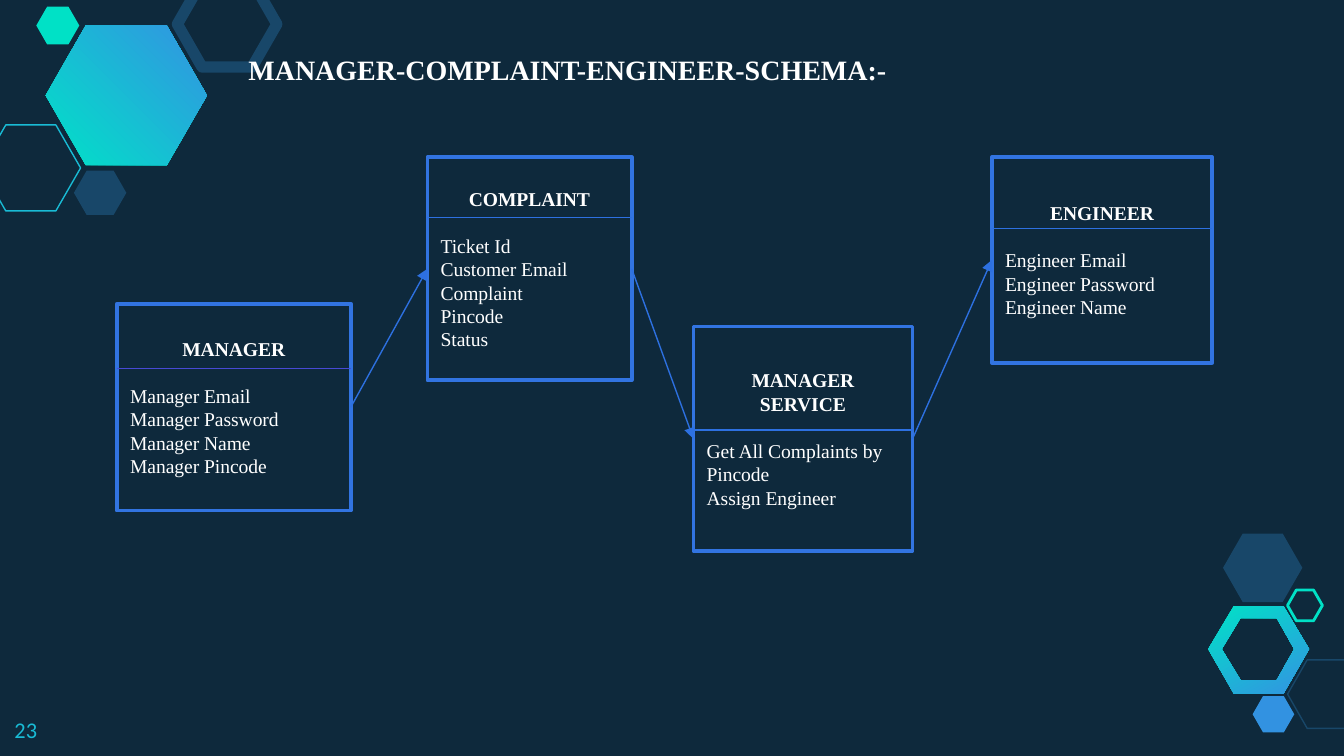
from lxml import etree
from pptx import Presentation
from pptx import util as u
from pptx.dml.color import RGBColor
from pptx.enum import shapes, text
from pptx.oxml.ns import qn

COLORS = {
    "night": "0E293C", "navy": "184769", "teal": "00E2C7", "mint": "00E1C6",
    "sky": "3393E2", "azure": "3292E1", "cyan": "19BBD5", "border": "3274E1",
    "arrow": "2D70E0", "violet": "4749D4", "white": "FFFFFF",
}
RGB = {name: RGBColor.from_string(value) for name, value in COLORS.items()}
SERIF = "Times New Roman"

# 16:9 slide
prs = Presentation()
prs.slide_width = u.Inches(10)
prs.slide_height = u.Inches(10 * 9 / 16)
slide = prs.slides.add_slide(prs.slide_layouts[6])
slide.background.fill.solid()
slide.background.fill.fore_color.rgb = RGB["night"]


def add_run(paragraph, words, size, color="white", font=SERIF, bold=False):
    run = paragraph.add_run()
    run.text = words
    run.font.size, run.font.name, run.font.bold = u.Pt(size), font, bold
    run.font.color.rgb = RGB[color]


def add_line(start, end, color, arrow=False):
    line = slide.shapes.add_connector(
        shapes.MSO_CONNECTOR.STRAIGHT, *[u.Inches(v) for v in start + end])
    line.line.color.rgb = RGB[color]
    line.line.width = u.Pt(0.75)
    if arrow:
        etree.SubElement(line.line._get_or_add_ln(), qn("a:tailEnd"), type="triangle")
    etree.SubElement(line._element.spPr, qn("a:effectLst"))
    return line


# Gradient ring, bottom right, in hundredths of an inch
outer = [(918, 516), (899, 483), (918, 451), (955, 451), (974, 483), (955, 516)]
inner = [(923, 506), (950, 506), (963, 483), (950, 460), (923, 460), (909, 483)]
builder = slide.shapes.build_freeform(*outer[0], scale=u.Inches(0.01))
builder.add_line_segments(outer[1:], close=True)
builder.move_to(*inner[0])
builder.add_line_segments(inner[1:], close=True)
ring = builder.convert_to_shape()

# Large gradient hexagon, top left
large_hexagon = slide.shapes.add_shape(
    shapes.MSO_SHAPE.HEXAGON, *[u.Inches(v) for v in (0.34, 0.19, 1.2, 1.04)])
large_hexagon.adjustments[0] = 0.287

for gradient_shape, angle in ((ring, 300), (large_hexagon, 45)):
    gradient_shape.shadow.inherit = False
    gradient_shape.line.fill.background()
    gradient_shape.fill.gradient()
    gradient_shape.fill.gradient_angle = angle
    for stop, color in zip(gradient_shape.fill.gradient_stops, ("teal", "sky")):
        stop.color.rgb = RGB[color]

# Plain hexagons: left, top, width, height, colour, outline points (0 = filled)
for left, top, width, height, color, outline in [
    (-0.14, 0.93, 0.74, 0.64, "cyan", 0.75),
    (0.55, 1.27, 0.39, 0.33, "navy", 0),
    (1.32, -0.14, 0.74, 0.64, "navy", 6),
    (0.27, 0.05, 0.32, 0.28, "mint", 0),
    (9.58, 4.91, 0.59, 0.51, "navy", 0.75),
    (9.32, 5.18, 0.31, 0.27, "azure", 0),
    (9.1, 3.97, 0.59, 0.51, "navy", 0),
    (9.58, 4.39, 0.26, 0.23, "mint", 1.5),
]:
    hexagon = slide.shapes.add_shape(
        shapes.MSO_SHAPE.HEXAGON, *[u.Inches(v) for v in (left, top, width, height)])
    hexagon.adjustments[0] = 0.287
    hexagon.shadow.inherit = False
    if outline:
        hexagon.fill.background()
        hexagon.line.color.rgb = RGB[color]
        hexagon.line.width = u.Pt(outline)
    else:
        hexagon.fill.solid()
        hexagon.fill.fore_color.rgb = RGB[color]
        hexagon.line.fill.background()

# Page number
page_number = slide.shapes.add_textbox(*[u.Inches(v) for v in (0.01, 5.23, 0.6, 0.39)]).text_frame
page_number.word_wrap = True
page_number.margin_top = page_number.margin_bottom = u.Inches(0.1)
add_run(page_number.paragraphs[0], "23", 12, "cyan", "Calibri")

# Entities: name, left, top, width, height, divider height, divider colour, fields
entities = []
for name, left, top, width, height, divider, color, fields in [
    ("MANAGER", 0.87, 2.26, 1.74, 1.54, 2.74, "violet",
     ["Manager Email", "Manager Password", "Manager Name", "Manager Pincode"]),
    ("COMPLAINT", 3.18, 1.17, 1.52, 1.66, 1.62, "arrow",
     ["Ticket Id", "Customer Email", "Complaint", "Pincode", "Status"]),
    ("MANAGER SERVICE", 5.16, 2.43, 1.63, 1.67, 3.2, "arrow",
     ["Get All Complaints by Pincode", "Assign Engineer"]),
    ("ENGINEER", 7.38, 1.17, 1.64, 1.53, 1.7, "arrow",
     ["Engineer Email", "Engineer Password", "Engineer Name"]),
]:
    entity = slide.shapes.add_shape(
        shapes.MSO_SHAPE.RECTANGLE, *[u.Inches(v) for v in (left, top, width, height)])
    entity.shadow.inherit = False
    entity.fill.solid()
    entity.fill.fore_color.rgb = RGB["night"]
    entity.line.color.rgb = RGB["border"]
    entity.line.width = u.Pt(2)
    frame = entity.text_frame
    frame.word_wrap = True
    frame.vertical_anchor = text.MSO_ANCHOR.MIDDLE
    heading = frame.paragraphs[0]
    heading.alignment = text.PP_ALIGN.CENTER
    heading.space_after = u.Pt(12.5)
    add_run(heading, name, 10.5, bold=True)
    for field in fields:
        row = frame.add_paragraph()
        row.alignment = text.PP_ALIGN.LEFT
        add_run(row, field, 10.5)
    add_line((left, divider), (left + width, divider), color)
    entities.append(entity)

# Arrows from the right side of each entity to the left side of the next
for source, target in zip(entities, entities[1:]):
    arrow = add_line((0, 0), (1, 1), "arrow", arrow=True)
    arrow.begin_connect(source, 3)
    arrow.end_connect(target, 1)

# Title
title = slide.shapes.add_textbox(*[u.Inches(v) for v in (1.75, 0.34, 5.28, 0.65)]).text_frame
title.word_wrap = True
add_run(title.paragraphs[0], "MANAGER-COMPLAINT-ENGINEER-SCHEMA:-", 15, bold=True)

prs.save("out.pptx")
